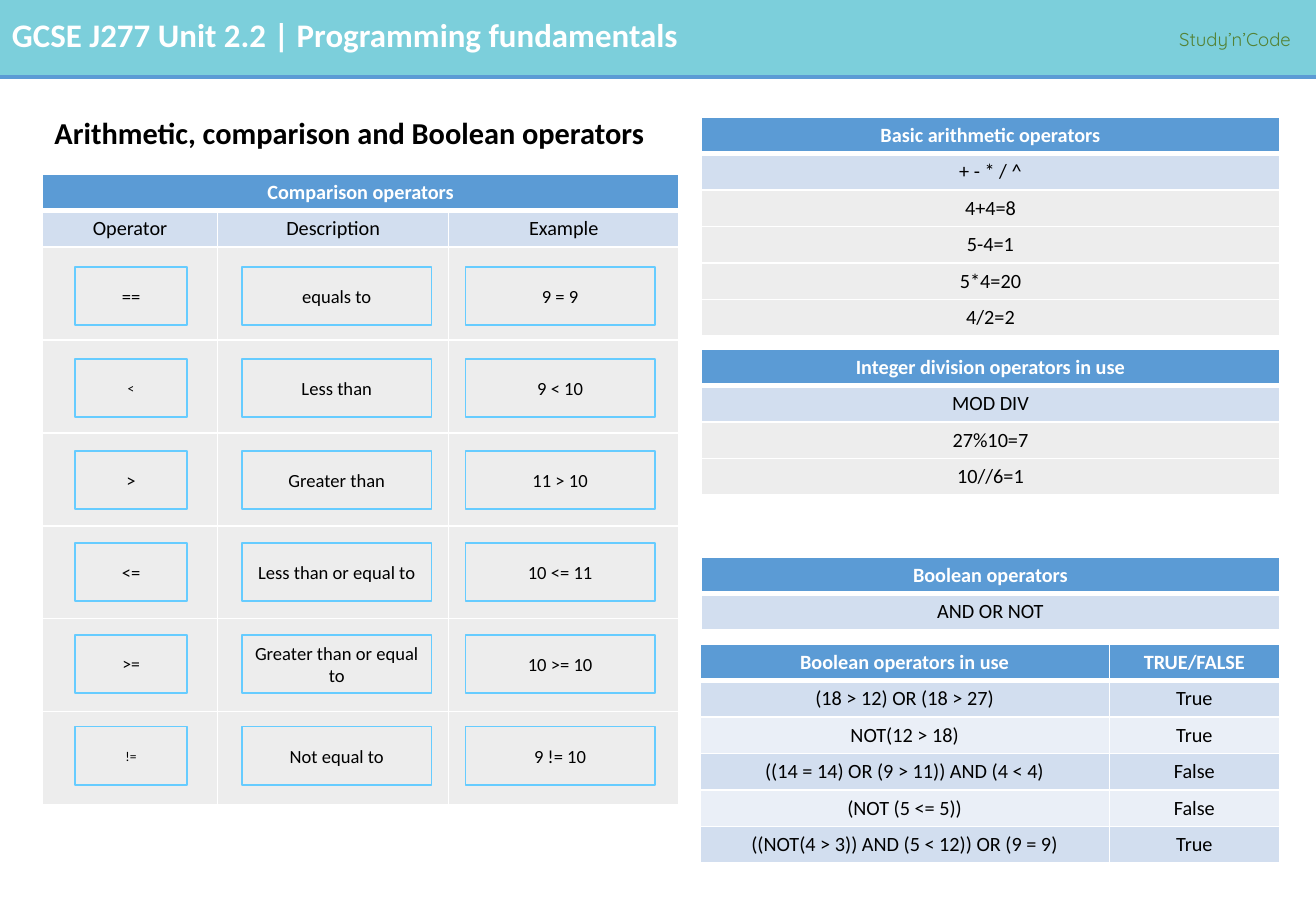
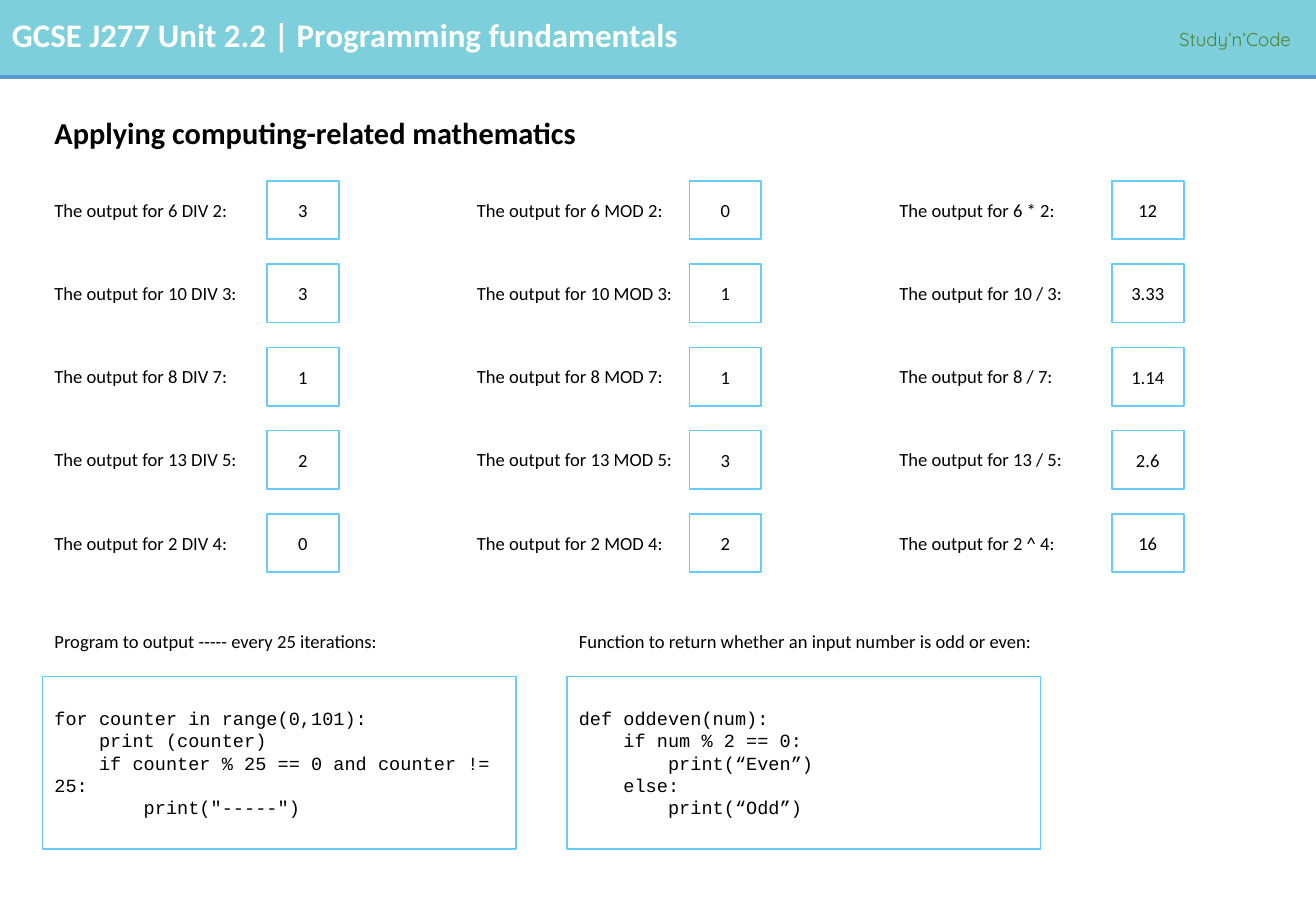
from dataclasses import dataclass
from typing import NamedTuple

from lxml.etree import SubElement
from pptx import Presentation
from pptx.dml.color import RGBColor
from pptx.enum.shapes import MSO_CONNECTOR as CONN, MSO_SHAPE as SHAPE
from pptx.enum.text import MSO_ANCHOR as ANCHOR, PP_ALIGN as ALIGN
from pptx.oxml.ns import qn
from pptx.slide import Slide
from pptx.util import Pt


# Theme: colours, fonts and type sizes
@dataclass(frozen=True)
class Theme:
    band: str = "7CCFDB"
    accent: str = "5B9BD5"
    outline: str = "66CCFF"
    brand: str = "548235"
    white: str = "FFFFFF"
    black: str = "000000"
    light_blue: str = "D2DEEF"
    pale_blue: str = "EAEFF7"
    grey: str = "EDEDED"
    body_font: str = "Calibri"
    code_font: str = "Courier New"
    brand_font: str = "Quicksand"
    unit_size: float = 19.5
    title_size: float = 18
    table_size: float = 12
    body_size: float = 11
    small_size: float = 8


T = Theme()


class Box(NamedTuple):
    left: float
    top: float
    width: float
    height: float

    def pts(self) -> list[Pt]:
        return [Pt(v) for v in self]


@dataclass(frozen=True)
class Style:
    size: float = T.body_size
    font: str = T.body_font
    color: str = T.black
    bold: bool = False
    align: ALIGN = ALIGN.LEFT
    line_spacing: float = 1.0
    space_after: float = 0


@dataclass(frozen=True)
class TableSpec:
    left: float
    top: float
    widths: tuple[float, ...]
    rows: list[tuple[str, ...]]
    fills: tuple[str, ...]  # fills of the rows below the header, cycled or last kept
    banded: bool = False
    tall_row: float = 0  # height of rows without text


class Comparison(NamedTuple):
    operator: str
    description: str
    example: str
    operator_size: float = T.body_size


class Output(NamedTuple):
    expression: str
    answer: str


class Program(NamedTuple):
    left: float
    caption: str
    lines: list[str]


LABEL = Style()
CENTRED = Style(align=ALIGN.CENTER)
CODE = Style(font=T.code_font)
UNIT = Style(T.unit_size, color=T.white, bold=True)
TITLE = Style(T.title_size, bold=True, line_spacing=0.9)
BRAND = Style(font=T.brand_font, color=T.brand, line_spacing=1.07, space_after=8)
HEADER = Style(T.table_size, color=T.white, bold=True, align=ALIGN.CENTER)
CELL = Style(T.table_size, align=ALIGN.CENTER)

WIDTH, HEIGHT = 780, 540
MARGIN = 25.2
BAND_HEIGHT = 45.5
ROW_HEIGHT = 21.6
BOX_HEIGHT = 34.6
LABEL_HEIGHT = 20.8
RIGHT_TABLE_LEFT, RIGHT_TABLE_WIDTH = 415.4, 343.4


# Drawing helpers
def rgb(value: str) -> RGBColor:
    return RGBColor.from_string(value)


def write(tf, lines: list[str], style: Style) -> None:
    for i, line in enumerate(lines):
        p = tf.add_paragraph() if i else tf.paragraphs[0]
        p.text = line
        p.alignment = style.align
        p.line_spacing = style.line_spacing
        p.space_after = Pt(style.space_after)
        p.font.name, p.font.size, p.font.bold = style.font, Pt(style.size), style.bold
        p.font.color.rgb = rgb(style.color)


def add_label(s: Slide, box: Box, text: str, style: Style = LABEL, anchor: ANCHOR = ANCHOR.TOP) -> None:
    tf = s.shapes.add_textbox(*box.pts()).text_frame
    tf.word_wrap = True
    tf.vertical_anchor = anchor
    write(tf, [text], style)


def add_frame(s: Slide, box: Box, lines: list[str], style: Style = CENTRED) -> None:
    sp = s.shapes.add_shape(SHAPE.RECTANGLE, *box.pts())
    sp.shadow.inherit = False
    sp.fill.background()
    sp.line.color.rgb = rgb(T.outline)
    sp.line.width = Pt(1)
    sp.text_frame.word_wrap = True
    sp.text_frame.vertical_anchor = ANCHOR.MIDDLE
    write(sp.text_frame, lines, style)


def set_borders(cell, top: float, bottom: float) -> None:
    props = cell._tc.get_or_add_tcPr()
    for side, width in (("L", 1), ("R", 1), ("T", top), ("B", bottom)):
        ln = SubElement(props, qn(f"a:ln{side}"), w=str(Pt(width)))
        fill = SubElement(ln, qn("a:solidFill"))
        SubElement(fill, qn("a:srgbClr"), val=T.white)


def add_grid(s: Slide, spec: TableSpec) -> None:
    heights = [ROW_HEIGHT if any(row) else spec.tall_row for row in spec.rows]
    box = Box(spec.left, spec.top, sum(spec.widths), sum(heights))
    table = s.shapes.add_table(len(heights), len(spec.widths), *box.pts()).table
    table.first_row = table.horz_banding = False
    for column, width in zip(table.columns, spec.widths):
        column.width = Pt(width)
    for i, (row, height) in enumerate(zip(spec.rows, heights)):
        table.rows[i].height = Pt(height)
        n = len(spec.fills)
        fill = spec.fills[(i - 1) % n if spec.banded else min(i - 1, n - 1)] if i else T.accent
        for j in range(len(spec.widths)):
            cell = table.cell(i, j)
            set_borders(cell, 3 if i == 1 else 1, 1 if i else 3)
            cell.fill.solid()
            cell.fill.fore_color.rgb = rgb(fill)
            cell.vertical_anchor = ANCHOR.MIDDLE
            if j < len(row) and row[j]:
                write(cell.text_frame, [row[j]], CELL if i else HEADER)
        if len(row) < len(spec.widths):
            table.cell(i, 0).merge(table.cell(i, len(spec.widths) - 1))


def add_page(prs: Presentation, title: str) -> Slide:
    s = prs.slides.add_slide(prs.slide_layouts[6])
    band = s.shapes.add_shape(SHAPE.RECTANGLE, *Box(0, 0, WIDTH, BAND_HEIGHT).pts())
    band.shadow.inherit = False
    band.fill.solid()
    band.fill.fore_color.rgb = rgb(T.band)
    band.line.fill.background()
    rule = s.shapes.add_connector(CONN.STRAIGHT, *Box(0, BAND_HEIGHT, WIDTH, BAND_HEIGHT).pts())
    rule.line.color.rgb = rgb(T.accent)
    rule.line.width = Pt(2.25)
    SubElement(rule._element.spPr, qn("a:effectLst"))
    add_label(s, Box(0, 5, 682.6, 31), "GCSE J277 Unit 2.2 | Programming fundamentals", UNIT)
    add_label(s, Box(691.8, 12.2, 88, 21), "Study’n’Code", BRAND)
    add_label(s, Box(MARGIN, 59.5, 727, 40.5), title, TITLE, ANCHOR.MIDDLE)
    return s


# Content of the operators slide
COMPARISONS = [
    Comparison("==", "equals to", "9 = 9"),
    Comparison("<", "Less than", "9 < 10", T.small_size),
    Comparison(">", "Greater than", "11 > 10"),
    Comparison("<=", "Less than or equal to", "10 <= 11"),
    Comparison(">=", "Greater than or equal to", "10 >= 10", 10.5),
    Comparison("!=", "Not equal to", "9 != 10", T.small_size),
]
COMPARISON_COLUMNS = ((44.6, 66.2), (143.4, 112.4), (275.8, 112.4))  # left, width

SINGLE = (RIGHT_TABLE_WIDTH,)
TABLES = [
    TableSpec(RIGHT_TABLE_LEFT, 69.3, SINGLE,
              [("Basic arithmetic operators",), ("+ - * / ^",), ("4+4=8",), ("5-4=1",),
               ("5*4=20",), ("4/2=2",)],
              (T.light_blue, T.grey)),
    TableSpec(RIGHT_TABLE_LEFT, 206.8, SINGLE,
              [("Integer division operators in use",), ("MOD DIV",), ("27%10=7",), ("10//6=1",)],
              (T.light_blue, T.grey)),
    TableSpec(MARGIN, 103.2, (103.8, 137, 136.4),
              [("Comparison operators",), ("Operator", "Description", "Example")]
              + [("", "", "")] * len(COMPARISONS),
              (T.light_blue, T.grey), tall_row=55.1),
    TableSpec(RIGHT_TABLE_LEFT, 330.2, SINGLE,
              [("Boolean operators",), ("AND OR NOT",)], (T.light_blue,)),
    TableSpec(RIGHT_TABLE_LEFT - 0.5, 381.7, (242.6, 100.8),
              [("Boolean operators in use", "TRUE/FALSE"),
               ("(18 > 12) OR (18 > 27)", "True"),
               ("NOT(12 > 18)", "True"),
               ("((14 = 14) OR (9 > 11)) AND (4 < 4)", "False"),
               ("(NOT (5 <= 5))", "False"),
               ("((NOT(4 > 3)) AND (5 < 12)) OR (9 = 9)", "True")],
              (T.light_blue, T.pale_blue), banded=True),
]

# Content of the mathematics slide, one list per column
OUTPUTS = [
    [Output("6 DIV 2", "3"), Output("10 DIV 3", "3"), Output("8 DIV 7", "1"),
     Output("13 DIV 5", "2"), Output("2 DIV 4", "0")],
    [Output("6 MOD 2", "0"), Output("10 MOD 3", "1"), Output("8 MOD 7", "1"),
     Output("13 MOD 5", "3"), Output("2 MOD 4", "2")],
    [Output("6 * 2", "12"), Output("10 / 3", "3.33"), Output("8 / 7", "1.14"),
     Output("13 / 5", "2.6"), Output("2 ^ 4", "16")],
]
PROGRAMS = [
    Program(MARGIN, "Program to output ----- every 25 iterations:",
            ["for counter in range(0,101):",
             "    print (counter)",
             "    if counter % 25 == 0 and counter != 25:",
             '        print("-----")']),
    Program(336, "Function to return whether an input number is odd or even:",
            ["def oddeven(num):",
             "    if num % 2 == 0:",
             "        print(“Even”)",
             "    else:",
             "        print(“Odd”)"]),
]


def build_operators(prs: Presentation) -> None:
    s = add_page(prs, "Arithmetic, comparison and Boolean operators")
    for spec in TABLES:
        add_grid(s, spec)
    for i, item in enumerate(COMPARISONS):
        sizes = (item.operator_size, T.body_size, T.body_size)
        for (left, width), text, size in zip(COMPARISON_COLUMNS, item[:3], sizes):
            box = Box(left, 158.2 + 54.5 * i, width, BOX_HEIGHT)
            add_frame(s, box, [text], Style(size, align=ALIGN.CENTER))


def build_mathematics(prs: Presentation) -> None:
    s = add_page(prs, "Applying computing-related mathematics")
    label_width = 133
    for i, column in enumerate(OUTPUTS):
        left = MARGIN + 250.4 * i
        for j, item in enumerate(column):
            top = 107.2 + 49.35 * j
            add_label(s, Box(left, top + 7, label_width, LABEL_HEIGHT),
                      f"The output for {item.expression}:")
            add_frame(s, Box(left + label_width, top, 42.6, BOX_HEIGHT), [item.answer])
    for program in PROGRAMS:
        add_frame(s, Box(program.left, 401, 280.8, 102.2), program.lines, CODE)
        add_label(s, Box(program.left, 370, 294.5, LABEL_HEIGHT), program.caption)


def main() -> None:
    prs = Presentation()
    prs.slide_width, prs.slide_height = Pt(WIDTH), Pt(HEIGHT)
    build_operators(prs)
    build_mathematics(prs)
    prs.save("out.pptx")


if __name__ == "__main__":
    main()
